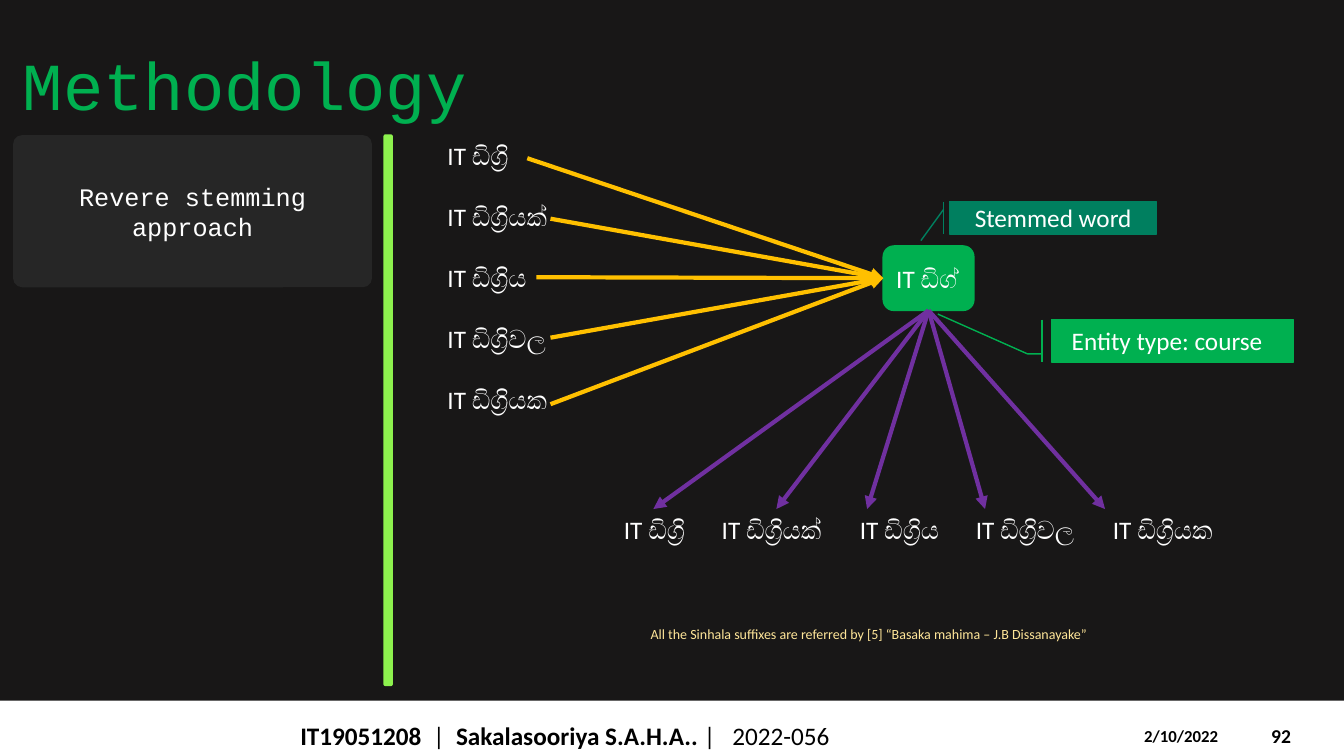
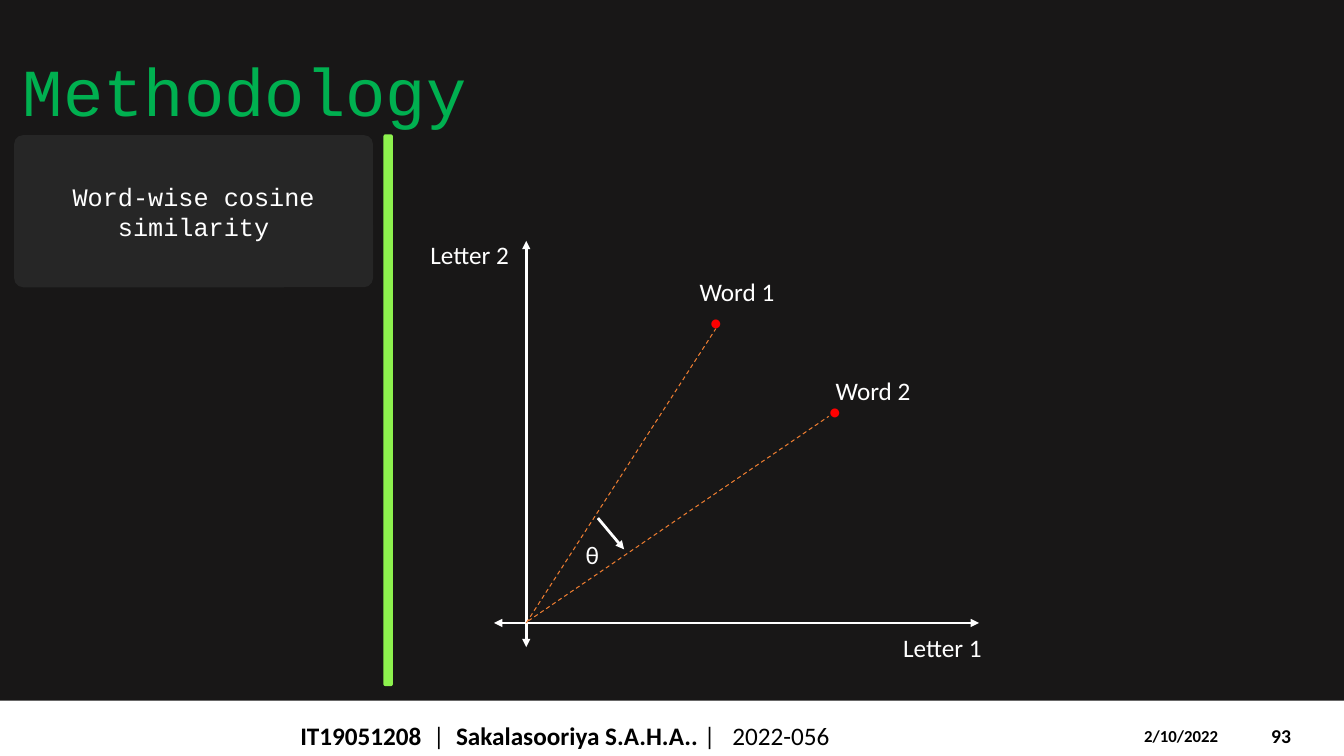
from dataclasses import dataclass

from lxml.etree import SubElement
from pptx import Presentation
from pptx.dml.color import RGBColor
from pptx.enum.dml import MSO_LINE_DASH_STYLE as Dash
from pptx.enum.shapes import MSO_CONNECTOR as Connector, MSO_SHAPE as Shape
from pptx.enum.text import MSO_ANCHOR as Anchor, PP_ALIGN as Align
from pptx.oxml.ns import qn
from pptx.util import Emu, Pt

PX = 9144  # 100 px to the inch


@dataclass(frozen=True)
class Theme:
    background: str = "181717"
    white: str = "FFFFFF"
    black: str = "000000"
    green: str = "00B050"
    teal: str = "007F5F"
    lime: str = "8DF24E"
    card: str = "262626"
    amber: str = "FFC000"
    purple: str = "7030A0"
    cream: str = "FFE699"
    orange: str = "ED7D31"
    red: str = "FF0000"
    body_font: str = "Calibri"
    title_font: str = "Courier New"
    title_size: int = 48
    body_size: int = 18
    number_size: int = 14
    date_size: int = 12
    note_size: int = 10


THEME = Theme()

# ---- Content ----
TITLE = "Methodology"
DATE = "2/10/2022"
FIRST_NUMBER = 92
FOOTER = [("IT19051208", True), ("  |  ", False),
          ("Sakalasooriya S.A.H.A.. ", True), ("|   2022-056", False)]

JOINER = chr(0x200D)  # zero-width joiner that forms the Sinhala conjunct
STEM = "IT ඩිග්"
BASE_WORD = STEM + JOINER + "රි"
# word, start of its arrow to the stem, left of its lower label, tip of the arrow from the stem
WORDS = [
    (BASE_WORD, (523, 157), 609, 648),
    (BASE_WORD + "යක්", (546, 217), 706, 770),
    (BASE_WORD + "ය", (532, 275), 843, 860),
    (BASE_WORD + "වල", (546, 335), 958, 977),
    (BASE_WORD + "යක", (546, 401), 1094, 1096),
]
NOTE = "All the Sinhala suffixes are referred by [5] “Basaka mahima – J.B Dissanayake”"

# text, box, colour
PLOT_LABELS = [
    ("•", (694, 299, 33, 40), THEME.red),
    ("•", (812, 387, 33, 40), THEME.red),
    ("θ", (571, 530, 33, 40), THEME.white),
    ("Letter 1", (886, 622, 117, 40), THEME.white),
    ("Letter 2", (417, 233, 104, 40), THEME.white),
    ("Word 1", (684, 269, 104, 40), THEME.white),
    ("Word 2", (819, 367, 106, 40), THEME.white),
]
AXES = [((522, 239), (522, 642)), ((971, 618), (490, 618))]
VECTORS = [((522, 618), (710, 326)), ((524, 616), (822, 413))]
ANGLE_ARROW = ((593, 514), (619, 545))


# ---- Drawing helpers ----
def emu(*lengths):
    return [Emu(length * PX) for length in lengths]


def rgb(colour):
    return RGBColor.from_string(colour)


def write(shape, paragraphs, size=THEME.body_size, colour=THEME.white,
          font=THEME.body_font, align=Align.LEFT, anchor=Anchor.TOP,
          gap=0, line_spacing=None):
    """Each paragraph is a list of (text, bold) runs."""
    frame = shape.text_frame
    frame.word_wrap = True
    frame.vertical_anchor = anchor
    for index, runs in enumerate(paragraphs):
        paragraph = frame.add_paragraph() if index else frame.paragraphs[0]
        paragraph.alignment = align
        paragraph.line_spacing = line_spacing
        if index and gap:
            paragraph.space_before = Pt(gap)
        for text, bold in runs:
            run = paragraph.add_run()
            run.text = text
            run.font.name = font
            run.font.size = Pt(size)
            run.font.bold = bold
            run.font.color.rgb = rgb(colour)


def add_text(slide, box, text, bold=False, **style):
    write(slide.shapes.add_textbox(*emu(*box)), [[(text, bold)]], **style)


def add_block(slide, kind, box, fill, line=None, adjustments=()):
    shape = slide.shapes.add_shape(kind, *emu(*box))
    shape.shadow.inherit = False
    shape.fill.solid()
    shape.fill.fore_color.rgb = rgb(fill)
    if line:
        shape.line.color.rgb = rgb(line)
        shape.line.width = Pt(1)
    else:
        shape.line.fill.background()
    for index, value in enumerate(adjustments):
        shape.adjustments[index] = value
    return shape


def add_line(slide, start, end, colour, width, heads=(), dash=None):
    connector = slide.shapes.add_connector(Connector.STRAIGHT, *emu(*start, *end))
    connector.line.color.rgb = rgb(colour)
    connector.line.width = Pt(width)
    if dash:
        connector.line.dash_style = dash
    outline = connector.line._get_or_add_ln()
    for head in heads:
        SubElement(outline, qn(f"a:{head}"), type="triangle")
    SubElement(connector._element.spPr, qn("a:effectLst"))
    return connector


# ---- Shared frame ----
def add_frame(presentation, number, topic, title_top, card_left):
    slide = presentation.slides.add_slide(presentation.slide_layouts[6])
    slide.background.fill.solid()
    slide.background.fill.fore_color.rgb = rgb(THEME.background)

    # Footer band
    add_block(slide, Shape.RECTANGLE, (0, 695, 1333, 55), THEME.white)
    add_text(slide, (1251, 710, 74, 40), str(number), True, colour=THEME.black,
             size=THEME.number_size, anchor=Anchor.MIDDLE)
    add_text(slide, (1125, 715, 117, 30), DATE, True, colour=THEME.black,
             size=THEME.date_size)
    footer = slide.shapes.add_textbox(*emu(288, 710, 745, 40))
    write(footer, [FOOTER], colour=THEME.black, anchor=Anchor.MIDDLE)

    # Title, topic card and divider
    add_text(slide, (13, title_top, 1150, 126), TITLE, colour=THEME.green,
             size=THEME.title_size, font=THEME.title_font,
             anchor=Anchor.BOTTOM, line_spacing=0.9)
    card = add_block(slide, Shape.ROUNDED_RECTANGLE, (card_left, 134, 356, 151),
                     THEME.card, adjustments=[0.06])
    write(card, [[(topic, False)]], font=THEME.title_font,
          align=Align.CENTER, anchor=Anchor.MIDDLE)
    add_block(slide, Shape.ROUNDED_RECTANGLE, (381, 134, 8, 546),
              THEME.lime, THEME.lime)
    return slide


# ---- Slides ----
def build_stemming(presentation):
    slide = add_frame(presentation, FIRST_NUMBER, "Revere stemming approach", 3, 13)

    # Word column and stem
    column = slide.shapes.add_textbox(*emu(434, 134, 170, 283))
    write(column, [[(word, False)] for word, *_ in WORDS], gap=22)
    stem = add_block(slide, Shape.ROUNDED_RECTANGLE, (876, 244, 90, 64),
                     THEME.green, THEME.green)
    write(stem, [[(STEM, False)]], anchor=Anchor.MIDDLE)

    # Arrows into and out of the stem
    for word, start, label_left, tip in WORDS:
        arrow_in = add_line(slide, start, (876, 276), THEME.amber, 3, ["tailEnd"])
        arrow_in.end_connect(stem, 1)
        arrow_out = add_line(slide, (921, 308), (tip, 505), THEME.purple, 3, ["tailEnd"])
        arrow_out.begin_connect(stem, 2)
        add_text(slide, (label_left, 505, 140, 40), word)

    # Callouts
    stemmed = add_block(slide, Shape.LINE_CALLOUT_1_BORDER_AND_ACCENT_BAR,
                        (942, 200, 205, 32), THEME.teal, THEME.teal,
                        [0.24, -0.03, 1.21, -0.14])
    write(stemmed, [[("Stemmed word", False)]], align=Align.CENTER, anchor=Anchor.MIDDLE)
    entity = add_block(slide, Shape.LINE_CALLOUT_2_BORDER_AND_ACCENT_BAR,
                       (1043, 317, 240, 42), THEME.green, THEME.green,
                       [0.81, -0.04, 0.81, -0.1, -0.13, -0.47])
    entity.text_frame.margin_left = Emu(20 * PX)
    write(entity, [[("Entity type: course", False)]], anchor=Anchor.MIDDLE)

    add_text(slide, (410, 616, 903, 27), NOTE, size=THEME.note_size,
             colour=THEME.cream, align=Align.CENTER)


def build_cosine(presentation):
    slide = add_frame(presentation, FIRST_NUMBER + 1, "Word-wise cosine similarity", 9, 14)
    for start, end in AXES:
        add_line(slide, start, end, THEME.white, 1.75, ["headEnd", "tailEnd"])
    for start, end in VECTORS:
        add_line(slide, start, end, THEME.orange, 0.75, dash=Dash.DASH)
    add_line(slide, *ANGLE_ARROW, THEME.white, 2, ["tailEnd"])
    for text, box, colour in PLOT_LABELS:
        add_text(slide, box, text, colour=colour)


def main():
    presentation = Presentation()
    presentation.slide_width, presentation.slide_height = emu(1333, 750)
    build_stemming(presentation)
    build_cosine(presentation)
    presentation.save("out.pptx")


if __name__ == "__main__":
    main()
